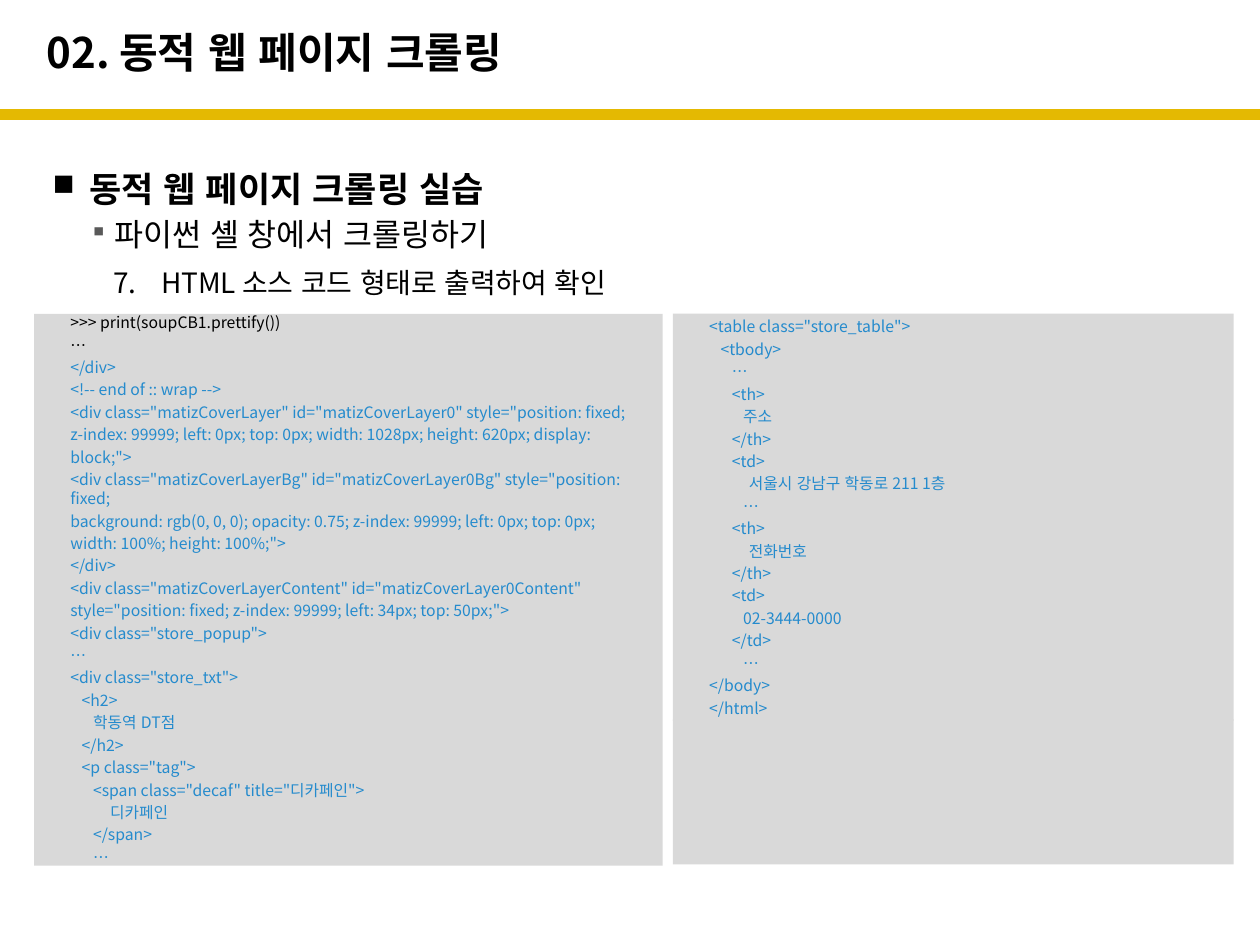
"""Build the slide on crawling dynamic web pages, with two panels of printed HTML."""
from dataclasses import dataclass
from typing import Any

from lxml import etree
from pptx import Presentation
from pptx.dml.color import RGBColor
from pptx.enum.shapes import MSO_CONNECTOR, MSO_SHAPE
from pptx.enum.text import MSO_ANCHOR, PP_ALIGN
from pptx.oxml.ns import qn
from pptx.util import Inches, Pt

STRAIGHT = MSO_CONNECTOR.STRAIGHT
RECTANGLE = MSO_SHAPE.RECTANGLE
MIDDLE = MSO_ANCHOR.MIDDLE
TOP = MSO_ANCHOR.TOP
LEFT = PP_ALIGN.LEFT

KOREAN = "Noto Sans CJK KR"
LATIN = "Arial"
COLORS = {
    "black": "000000",
    "gold": "E4B902",
    "panel": "D9D9D9",
    "code": "258BCD",
    "marker": "595959",
}
CODE_MARGIN = 0.19
CODE_STEP = 0.09


@dataclass(frozen=True)
class Heading:
    text: str
    size: float
    margin: float
    hang: float
    marker_tag: str
    marker: dict[str, str]
    marker_color: str = "black"
    marker_percent: int = 100
    font: str = KOREAN
    bold: bool = False
    spacing: float = 1.0
    before: float = 0
    after: float = 0


@dataclass(frozen=True)
class CodeLine:
    text: str
    depth: float = 0
    color: str = "code"


HEADINGS = [
    Heading("동적 웹 페이지 크롤링 실습", 20, 0.29, 0.29, "a:buChar", {"char": "■"},
            marker_percent=85, font=LATIN, bold=True, spacing=1.5),
    Heading("파이썬 셸 창에서 크롤링하기", 18, 0.49, 0.2, "a:buChar", {"char": "▪"},
            marker_color="marker", marker_percent=80, before=3.6, after=4),
    Heading("HTML 소스 코드 형태로 출력하여 확인", 16, 0.86, 0.38, "a:buAutoNum",
            {"type": "arabicPeriod", "startAt": "7"}, before=3.2, after=3),
]

COVER_CODE = [
    CodeLine(">>> print(soupCB1.prettify())", color="black"),
    CodeLine("…", color="black"),
    CodeLine("</div>"),
    CodeLine("<!-- end of :: wrap -->"),
    CodeLine('<div class="matizCoverLayer" id="matizCoverLayer0" style="position: fixed;'),
    CodeLine("z-index: 99999; left: 0px; top: 0px; width: 1028px; height: 620px; display:"),
    CodeLine('block;">'),
    CodeLine('<div class="matizCoverLayerBg" id="matizCoverLayer0Bg" style="position: fixed;'),
    CodeLine("background: rgb(0, 0, 0); opacity: 0.75; z-index: 99999; left: 0px; top: 0px;"),
    CodeLine('width: 100%; height: 100%;">'),
    CodeLine("</div>"),
    CodeLine('<div class="matizCoverLayerContent" id="matizCoverLayer0Content"'),
    CodeLine('style="position: fixed; z-index: 99999; left: 34px; top: 50px;">'),
    CodeLine('<div class="store_popup">'),
    CodeLine("…"),
    CodeLine('<div class="store_txt">'),
    CodeLine("<h2>", 1),
    CodeLine("학동역 DT점", 2),
    CodeLine("</h2>", 1),
    CodeLine('<p class="tag">', 1),
    CodeLine('<span class="decaf" title="디카페인">', 2),
    CodeLine("디카페인", 3.5),
    CodeLine("</span>", 2),
    CodeLine("…", 2),
]

TABLE_CODE = [
    CodeLine('<table class="store_table">'),
    CodeLine("<tbody>", 1),
    CodeLine("…", 2),
    CodeLine("<th>", 2),
    CodeLine("주소", 3),
    CodeLine("</th>", 2),
    CodeLine("<td>", 2),
    CodeLine("서울시 강남구 학동로 211 1층", 3.5),
    CodeLine("…", 3),
    CodeLine("<th>", 2),
    CodeLine("전화번호", 3.5),
    CodeLine("</th>", 2),
    CodeLine("<td>", 2),
    CodeLine("02-3444-0000", 3),
    CodeLine("</td>", 2),
    CodeLine("…", 3),
    CodeLine("</body>"),
    CodeLine("</html>"),
]


def add_span(para: Any, text: str, size: float, color: str = "black",
             font: str = KOREAN, bold: bool = False) -> None:
    """Add one formatted run."""
    span = para.add_run()
    span.text = text
    span.font.size = Pt(size)
    span.font.bold = bold
    span.font.name = font
    span.font.color.rgb = RGBColor.from_string(COLORS[color])
    etree.SubElement(span.font._element, qn("a:ea"), typeface=LATIN)


def set_layout(para: Any, margin: float, hang: float, spacing: float,
               before: float, after: float) -> Any:
    """Set indents and spacing, and return the paragraph properties."""
    para.alignment = LEFT
    para.line_spacing = spacing
    para.space_before = Pt(before)
    para.space_after = Pt(after)
    properties = para._p.get_or_add_pPr()
    properties.set("marL", str(Inches(margin)))
    properties.set("indent", str(-Inches(hang)))
    return properties


def next_para(frame: Any, index: int) -> Any:
    """Return the first paragraph of a frame, or a new one."""
    return frame.add_paragraph() if index else frame.paragraphs[0]


def add_title(page: Any, text: str) -> None:
    """Place and fill the title placeholder."""
    title = page.shapes.title
    title.left, title.top = Inches(0.27), Inches(0.11)
    title.width, title.height = Inches(8.27), Inches(0.6)
    title.text_frame.vertical_anchor = MIDDLE
    para = title.text_frame.paragraphs[0]
    para.alignment = LEFT
    add_span(para, text, 24, bold=True)


def add_rule(page: Any) -> None:
    """Draw the gold rule below the title."""
    rule = page.shapes.add_connector(STRAIGHT, 0, Inches(0.91), Inches(10), Inches(0.91))
    rule.line.color.rgb = RGBColor.from_string(COLORS["gold"])
    rule.line.width = Pt(6)
    etree.SubElement(rule._element.spPr, qn("a:effectLst"))


def add_headings(page: Any, headings: list[Heading]) -> None:
    """Write the outline with its bullets and step number."""
    box = page.shapes.add_textbox(Inches(0.32), Inches(1.11), Inches(9.45), Inches(5.98))
    frame = box.text_frame
    frame.word_wrap = True
    frame.vertical_anchor = TOP
    for index, item in enumerate(headings):
        para = next_para(frame, index)
        properties = set_layout(para, item.margin, item.hang, item.spacing,
                                item.before, item.after)
        tint = etree.SubElement(properties, qn("a:buClr"))
        etree.SubElement(tint, qn("a:srgbClr"), val=COLORS[item.marker_color])
        etree.SubElement(properties, qn("a:buSzPct"), val=str(item.marker_percent * 1000))
        etree.SubElement(properties, qn(item.marker_tag), item.marker)
        add_span(para, item.text, item.size, font=item.font, bold=item.bold)


def add_panel(shapes: Any, left: float, top: float, width: float, height: float,
              lines: list[CodeLine]) -> None:
    """Draw a grey panel holding lines of code."""
    panel = shapes.add_shape(RECTANGLE, Inches(left), Inches(top),
                             Inches(width), Inches(height))
    panel.shadow.inherit = False
    panel.fill.solid()
    panel.fill.fore_color.rgb = RGBColor.from_string(COLORS["panel"])
    panel.line.fill.background()
    frame = panel.text_frame
    frame.word_wrap = True
    frame.vertical_anchor = MIDDLE
    for index, line in enumerate(lines):
        para = next_para(frame, index)
        set_layout(para, CODE_MARGIN + CODE_STEP * line.depth, 0, 1.0, 1, 1)
        add_span(para, line.text, 9, line.color)


def main() -> None:
    """Build and save the deck."""
    deck = Presentation()
    deck.slide_width, deck.slide_height = Inches(10), Inches(7.5)
    page = deck.slides.add_slide(deck.slide_layouts[5])
    add_rule(page)
    add_title(page, "02. 동적 웹 페이지 크롤링")
    add_headings(page, HEADINGS)
    add_panel(page.shapes, 0.27, 2.49, 4.99, 4.38, COVER_CODE)
    column = page.shapes.add_group_shape()
    add_panel(column.shapes, 5.34, 2.49, 4.45, 3.23, TABLE_CODE)
    add_panel(column.shapes, 5.34, 5.71, 4.45, 1.15, [])
    deck.save("out.pptx")


if __name__ == "__main__":
    main()
